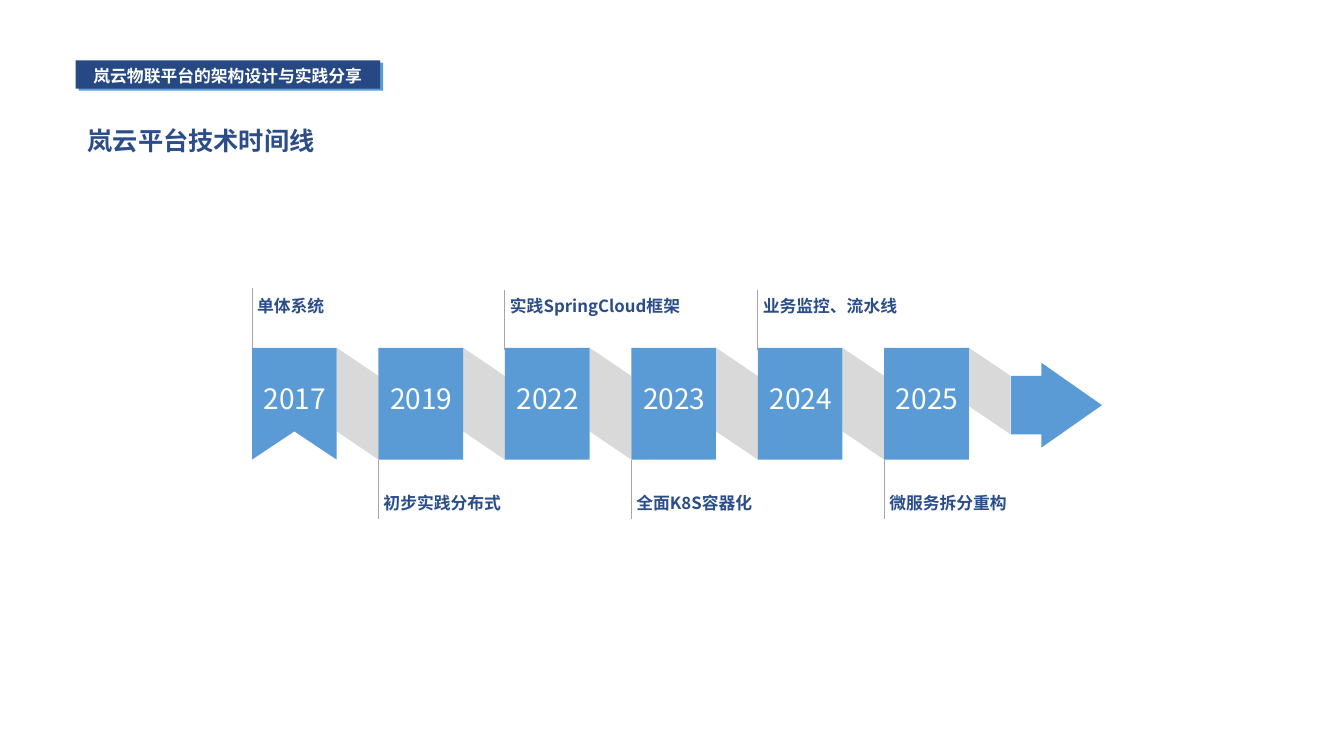
"""Build the slide with the technology timeline of the cloud platform."""
import dataclasses
import typing

import lxml.etree
import pptx
import pptx.dml.color
import pptx.enum.shapes
import pptx.enum.text
import pptx.oxml.ns
import pptx.util

Inches = pptx.util.Inches
Point = typing.Tuple[float, float]

NAVY = pptx.dml.color.RGBColor(0x26, 0x49, 0x84)
INK = pptx.dml.color.RGBColor(0x2B, 0x4D, 0x89)
BLUE = pptx.dml.color.RGBColor(0x5B, 0x9B, 0xD5)
PALE = pptx.dml.color.RGBColor(0xD9, 0xD9, 0xD9)
GRAY = pptx.dml.color.RGBColor(0xA6, 0xA6, 0xA6)
WHITE = pptx.dml.color.RGBColor(0xFF, 0xFF, 0xFF)

CJK_FONT = "Noto Sans CJK SC"
LEFT, TOP, BOTTOM = 2.5, 3.45, 4.56
BLOCK_WIDTH = 0.84
PITCH = 6.27 / 5
FOLD = 0.28
STEM = 0.59


@dataclasses.dataclass(frozen=True)
class Milestone:
    year: str
    event: str
    stem_top: float
    event_top: float
    event_width: float = 2.1


@dataclasses.dataclass(frozen=True)
class Style:
    size: int
    color: pptx.dml.color.RGBColor
    bold: bool = True
    font: str = CJK_FONT
    align: pptx.enum.text.PP_ALIGN = pptx.enum.text.PP_ALIGN.LEFT
    anchor: pptx.enum.text.MSO_ANCHOR = pptx.enum.text.MSO_ANCHOR.TOP
    margin: float = 0.05


MILESTONES = [
    Milestone("2017", "单体系统", 2.86, 2.88, 2.21),
    Milestone("2019", "初步实践分布式", BOTTOM, 4.84),
    Milestone("2022", "实践SpringCloud框架", 2.88, 2.88, 2.21),
    Milestone("2023", "全面K8S容器化", BOTTOM, 4.84),
    Milestone("2024", "业务监控、流水线", 2.88, 2.88),
    Milestone("2025", "微服务拆分重构", BOTTOM, 4.84),
]

CENTER = pptx.enum.text.PP_ALIGN.CENTER
MIDDLE = pptx.enum.text.MSO_ANCHOR.MIDDLE
BANNER_STYLE = Style(12, WHITE, font="Arial", align=CENTER)
HEADING_STYLE = Style(18, INK, anchor=MIDDLE, margin=0)
YEAR_STYLE = Style(20, WHITE, bold=False, align=CENTER, anchor=MIDDLE)
EVENT_STYLE = Style(12, INK)


def write(holder, text: str, style: Style) -> None:
    frame = holder.text_frame
    margin = Inches(style.margin)
    frame_format = {
        "text": text,
        "word_wrap": True,
        "auto_size": pptx.enum.text.MSO_AUTO_SIZE.NONE,
        "vertical_anchor": style.anchor,
        "margin_left": margin,
        "margin_right": margin,
        "margin_top": margin,
        "margin_bottom": margin,
    }
    for name, value in frame_format.items():
        setattr(frame, name, value)
    paragraph = frame.paragraphs[0]
    paragraph.alignment = style.align
    font = paragraph.runs[0].font
    font_format = {"size": pptx.util.Pt(style.size), "bold": style.bold, "name": style.font}
    for name, value in font_format.items():
        setattr(font, name, value)
    font.color.rgb = style.color
    east_asian = lxml.etree.SubElement(font._element, pptx.oxml.ns.qn("a:ea"))
    east_asian.set("typeface", CJK_FONT)


def add_text(slide, left: float, top: float, width: float, height: float,
             text: str, style: Style) -> None:
    box = slide.shapes.add_textbox(*map(Inches, (left, top, width, height)))
    write(box, text, style)


def paint(shape, color: pptx.dml.color.RGBColor) -> None:
    shape.shadow.inherit = False
    shape.fill.solid()
    shape.fill.fore_color.rgb = color
    shape.line.fill.background()


def add_block(slide, left: float, top: float, width: float, height: float,
              color: pptx.dml.color.RGBColor) -> None:
    rectangle = pptx.enum.shapes.MSO_SHAPE.RECTANGLE
    paint(slide.shapes.add_shape(rectangle, *map(Inches, (left, top, width, height))), color)


def add_outline(slide, points: typing.Sequence[Point],
                color: pptx.dml.color.RGBColor) -> None:
    corners = [(Inches(x), Inches(y)) for x, y in points]
    builder = slide.shapes.build_freeform(*corners[0])
    builder.add_line_segments(corners[1:], close=True)
    paint(builder.convert_to_shape(), color)


def add_stem(slide, left: float, top: float) -> None:
    ends = map(Inches, (left, top, left, top + STEM))
    stem = slide.shapes.add_connector(pptx.enum.shapes.MSO_CONNECTOR.STRAIGHT, *ends)
    stem.line.color.rgb = GRAY
    stem.line.width = pptx.util.Pt(0.75)
    lxml.etree.SubElement(stem._element.spPr, pptx.oxml.ns.qn("a:effectLst"))


def add_header(slide) -> None:
    add_block(slide, 0.78, 0.62, 3.02, 0.28, BLUE)
    add_block(slide, 0.75, 0.6, 3.02, 0.28, NAVY)
    add_text(slide, 0.75, 0.6, 3.02, 0.3, "岚云物联平台的架构设计与实践分享", BANNER_STYLE)
    heading = slide.shapes.title
    place = {"left": 0.87, "top": 1.24, "width": 2.99, "height": 0.3}
    for name, value in place.items():
        setattr(heading, name, Inches(value))
    write(heading, "岚云平台技术时间线", HEADING_STYLE)


def add_timeline(slide) -> None:
    lefts = [LEFT + PITCH * step for step in range(len(MILESTONES))]
    for left in lefts:
        start, end = left + BLOCK_WIDTH, left + PITCH
        low = 4.31 if left == lefts[-1] else BOTTOM
        fold = [(start, TOP), (end, TOP + FOLD), (end, low), (start, low - FOLD)]
        add_outline(slide, fold, PALE)

    arrow = [(10.03, 3.73), (10.33, 3.73), (10.33, 3.6), (10.93, 4.02),
             (10.33, 4.44), (10.33, 4.31), (10.03, 4.31)]
    add_outline(slide, arrow, BLUE)

    right = LEFT + BLOCK_WIDTH
    banner = [(LEFT, TOP), (right, TOP), (right, BOTTOM),
              (LEFT + BLOCK_WIDTH / 2, BOTTOM - FOLD), (LEFT, BOTTOM)]
    add_outline(slide, banner, BLUE)
    for left in lefts[1:]:
        add_block(slide, left, TOP, BLOCK_WIDTH, BOTTOM - TOP, BLUE)

    for left, milestone in zip(lefts, MILESTONES):
        add_text(slide, left - 0.1, 3.74, 1.05, 0.43, milestone.year, YEAR_STYLE)
        add_text(slide, left, milestone.event_top, milestone.event_width, 0.3,
                 milestone.event, EVENT_STYLE)
        add_stem(slide, left, milestone.stem_top)


def main() -> None:
    deck = pptx.Presentation()
    deck.slide_width, deck.slide_height = Inches(13.33), Inches(7.5)
    slide = deck.slides.add_slide(deck.slide_layouts[5])
    add_header(slide)
    add_timeline(slide)
    deck.save("out.pptx")


if __name__ == "__main__":
    main()
